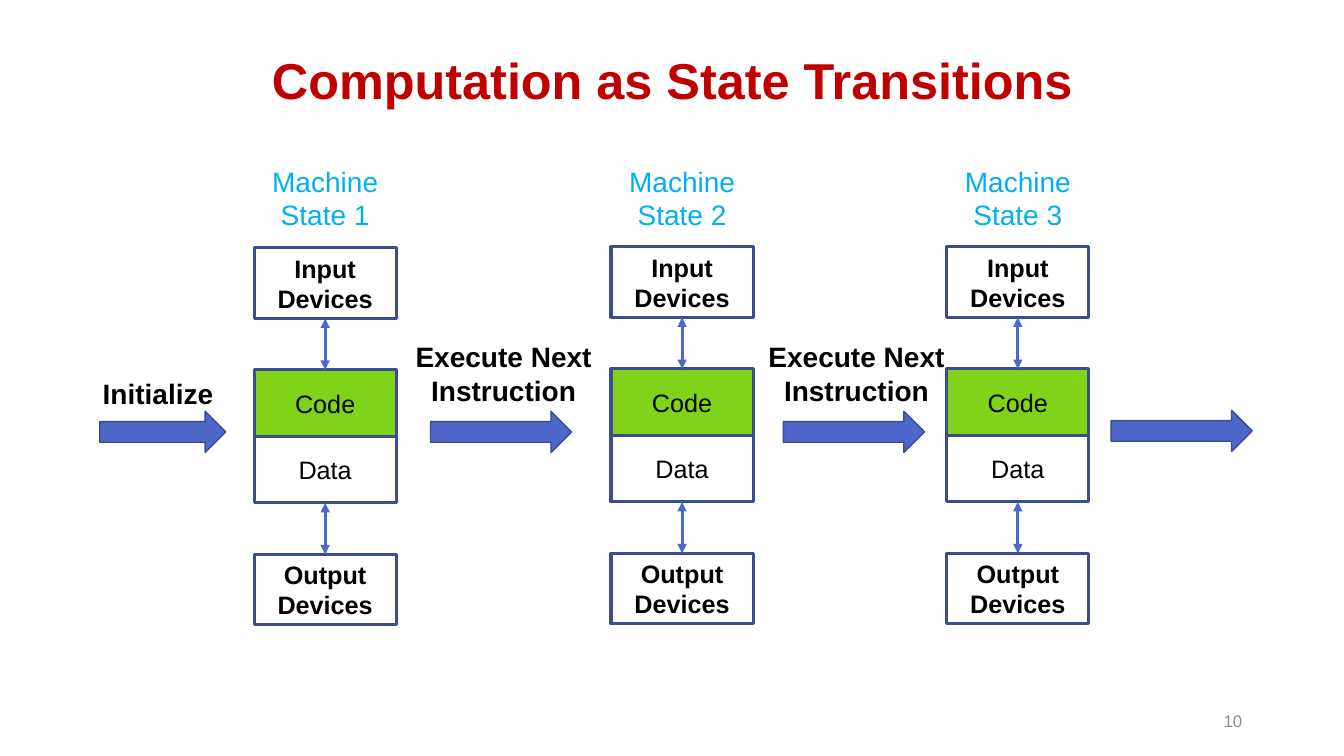
from pptx import Presentation
from pptx.dml.color import RGBColor
from pptx.enum.shapes import MSO_CONNECTOR, MSO_SHAPE
from pptx.enum.text import MSO_ANCHOR as ANCHOR, MSO_AUTO_SIZE as AUTO, PP_ALIGN as ALIGN
from pptx.oxml.ns import qn
from pptx.util import Inches, Pt
from lxml.etree import SubElement

COLORS = {
    "title": "C00000", "state": "00B0F0", "text": "000000", "number": "8C8C8C",
    "code": "81D31A", "plain": "FFFFFF", "arrow": "4E67C8", "border": "3A4C94",
}
BOX_W, DEVICE_H, MEMORY_H, GAP = 1.41, 0.7, 0.66, 0.51
LABEL_W = 1.95


def rgb(name):
    return RGBColor.from_string(COLORS[name])


def write(tf, text, size=18, color="text", bold=False, align=ALIGN.CENTER,
          anchor=ANCHOR.MIDDLE, spacing=None, font="Arial"):
    """Fill a text frame, one paragraph for each line of text."""
    tf.word_wrap = True
    tf.vertical_anchor = anchor
    for i, line in enumerate(text.split("\n")):
        p = tf.paragraphs[0] if i == 0 else tf.add_paragraph()
        p.alignment = align
        if spacing:
            p.line_spacing = spacing
        r = p.add_run()
        r.text = line
        r.font.name, r.font.size, r.font.bold = font, Pt(size), bold
        r.font.color.rgb = rgb(color)


class StateSlide:
    def __init__(self, prs):
        self.slide = prs.slides.add_slide(prs.slide_layouts[5])
        self.shapes = self.slide.shapes

    def title(self, text, x, y, w, h):
        sp = self.shapes.title
        sp.left, sp.top, sp.width, sp.height = map(Inches, (x, y, w, h))
        sp.text_frame.auto_size = AUTO.NONE
        write(sp.text_frame, text, size=36, color="title", bold=True, spacing=0.9)

    def label(self, text, x, y, w, h, **style):
        sp = self.shapes.add_textbox(*map(Inches, (x, y, w, h)))
        write(sp.text_frame, text, **style)

    def shape(self, kind, x, y, w, h, fill, weight):
        sp = self.shapes.add_shape(kind, *map(Inches, (x, y, w, h)))
        sp.shadow.inherit = False
        sp.fill.solid()
        sp.fill.fore_color.rgb = rgb(fill)
        sp.line.color.rgb = rgb("border")
        sp.line.width = Pt(weight)
        return sp

    def box(self, text, x, y, h, fill="plain", bold=False):
        sp = self.shape(MSO_SHAPE.RECTANGLE, x, y, BOX_W, h, fill, 2.25)
        write(sp.text_frame, text, bold=bold)

    def block_arrow(self, x, y, w):
        self.shape(MSO_SHAPE.RIGHT_ARROW, x, y, w, 0.41, "arrow", 1)

    def link(self, x, y):
        """Vertical two-headed arrow that spans one gap."""
        line = self.shapes.add_connector(
            MSO_CONNECTOR.STRAIGHT, *map(Inches, (x, y, x, y + GAP)))
        line.line.color.rgb = rgb("arrow")
        line.line.width = Pt(2.25)
        ln = line.line._get_or_add_ln()
        for end in ("a:headEnd", "a:tailEnd"):
            SubElement(ln, qn(end), type="triangle")
        SubElement(line._element.spPr, qn("a:effectLst"))

    def machine(self, number, x, y):
        """One machine state: heading, devices, memory and links."""
        center = x + BOX_W / 2
        code_y = y + DEVICE_H + GAP
        data_y = code_y + MEMORY_H
        data_end = data_y + MEMORY_H
        self.box("Code", x, code_y, MEMORY_H, fill="code")
        self.box("Data", x, data_y, MEMORY_H)
        self.box("Input Devices", x, y, DEVICE_H, bold=True)
        self.box("Output Devices", x, data_end + GAP, DEVICE_H, bold=True)
        self.link(center, y + DEVICE_H)
        self.link(center, data_end)
        self.label(f"Machine\nState {number}", center - LABEL_W / 2, 1.58, LABEL_W, 0.77,
                   size=20, color="state", anchor=ANCHOR.TOP)


def main():
    prs = Presentation()
    prs.slide_width, prs.slide_height = Inches(13.33), Inches(7.5)
    s = StateSlide(prs)

    # Title and slide number
    s.title("Computation as State Transitions", 0.92, 0.4, 11.5, 0.86)
    s.label("10", 9.42, 6.95, 3, 0.4, size=12, color="number", align=ALIGN.RIGHT)

    # Machine states
    for number, (x, y) in enumerate([(2.52, 2.46), (6.06, 2.45), (9.39, 2.45)], 1):
        s.machine(number, x, y)

    # Transitions
    step = dict(size=20, bold=True, anchor=ANCHOR.TOP)
    s.block_arrow(0.99, 4.08, 1.25)
    s.label("Initialize", 0.92, 3.69, LABEL_W, 0.44, align=ALIGN.LEFT, **step)
    for x in (4.27, 7.77):
        s.block_arrow(x, 4.08, 1.4)
        s.label("Execute Next\nInstruction", x - 0.25, 3.32, LABEL_W, 0.77, **step)
    s.block_arrow(11.02, 4.07, 1.4)

    prs.save("out.pptx")


if __name__ == "__main__":
    main()
